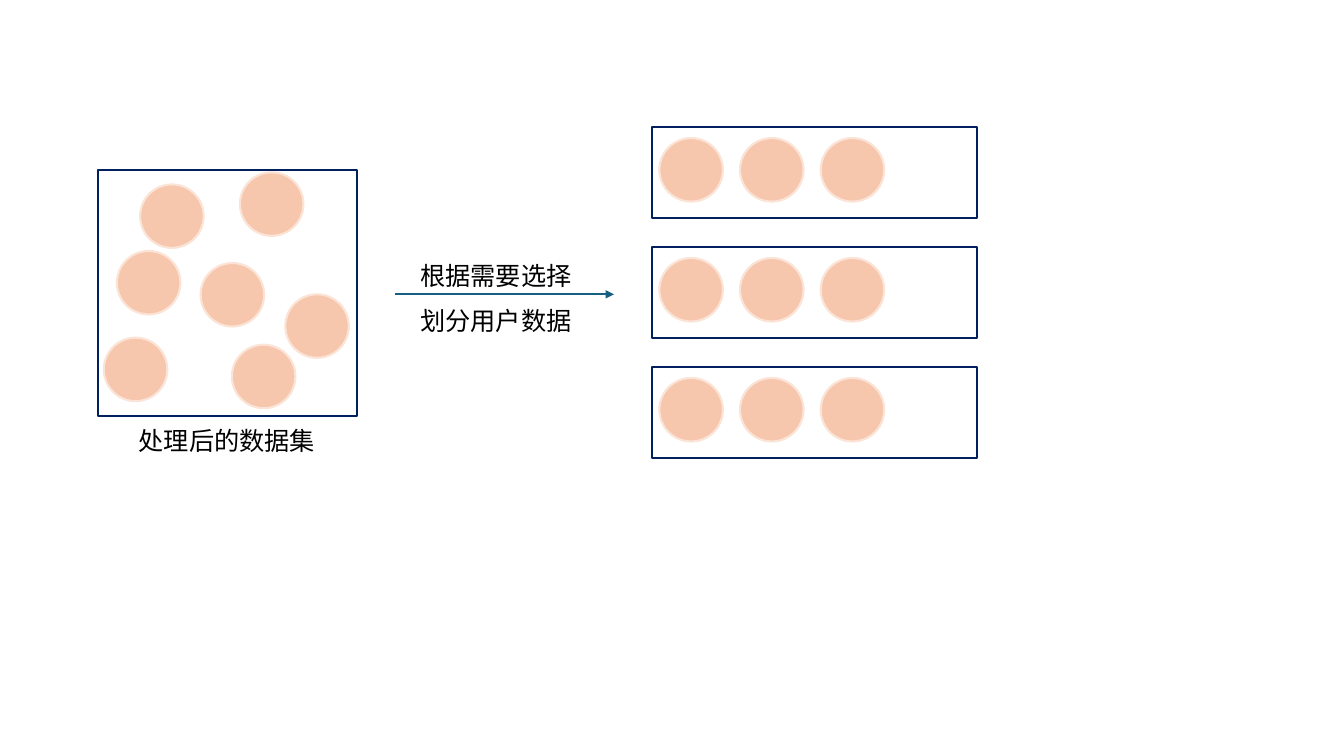
from lxml import etree
from pptx import Presentation
from pptx import util as u
from pptx.dml.color import RGBColor
from pptx.enum import shapes, text
from pptx.oxml import ns

NAVY = RGBColor(0x00, 0x20, 0x60)
PEACH = RGBColor(0xF6, 0xC6, 0xAD)
PALE_PEACH = RGBColor(0xFB, 0xE3, 0xD6)
TEAL = RGBColor(0x15, 0x60, 0x82)
BLACK = RGBColor(0, 0, 0)

DATASET_POINTS = [(2.38, 1.71), (1.03, 3.35), (1.16, 2.49), (2.83, 2.92),
                  (1.39, 1.83), (2.3, 3.42), (1.99, 2.61)]


class DiagramSlide:
    """Draws styled diagram elements on one slide."""

    font_name = "Noto Sans CJK SC"
    font_size = u.Pt(18)
    line_width = u.Pt(1.5)
    point_size = 0.63

    def __init__(self, slide):
        self.slide = slide

    def outline(self, element, color):
        element.line.color.rgb = color
        element.line.width = self.line_width

    def shape(self, kind, bounds, line_color):
        shape = self.slide.shapes.add_shape(kind, *map(u.Inches, bounds))
        shape.shadow.inherit = False
        self.outline(shape, line_color)
        return shape

    def frame(self, *bounds):
        shape = self.shape(shapes.MSO_SHAPE.RECTANGLE, bounds, NAVY)
        shape.fill.background()

    def point(self, left, top):
        bounds = (left, top, self.point_size, self.point_size)
        shape = self.shape(shapes.MSO_SHAPE.FLOWCHART_CONNECTOR, bounds, PALE_PEACH)
        shape.fill.solid()
        shape.fill.fore_color.rgb = PEACH

    def arrow(self, *ends):
        connector = self.slide.shapes.add_connector(
            shapes.MSO_CONNECTOR.STRAIGHT, *map(u.Inches, ends))
        self.outline(connector, TEAL)
        line = connector.line._get_or_add_ln()
        etree.SubElement(line, ns.qn("a:tailEnd"), type="triangle")
        etree.SubElement(connector._element.spPr, ns.qn("a:effectLst"))

    def label(self, wording, bounds, **paragraph_format):
        box = self.slide.shapes.add_textbox(*map(u.Inches, bounds))
        frame = box.text_frame
        frame.word_wrap = True
        frame.auto_size = text.MSO_AUTO_SIZE.SHAPE_TO_FIT_TEXT
        paragraph = frame.paragraphs[0]
        for name, value in paragraph_format.items():
            setattr(paragraph, name, value)
        run = paragraph.add_run()
        run.text = wording
        run.font.color.rgb = BLACK
        for name, value in {"name": self.font_name, "size": self.font_size}.items():
            setattr(run.font, name, value)
        latin = run._r.rPr.find(ns.qn("a:latin"))
        east_asian = etree.Element(ns.qn("a:ea"), typeface=self.font_name)
        latin.addnext(east_asian)


def main():
    presentation = Presentation()
    presentation.slide_width = u.Inches(13.33)
    presentation.slide_height = u.Inches(7.5)
    diagram = DiagramSlide(presentation.slides.add_slide(presentation.slide_layouts[6]))

    diagram.frame(0.97, 1.69, 2.57, 2.44)
    for left, top in DATASET_POINTS:
        diagram.point(left, top)
    diagram.arrow(3.92, 2.92, 6.09, 2.92)
    diagram.label("处理后的数据集", (1.11, 4.17, 2.28, 0.4),
                  alignment=text.PP_ALIGN.CENTER)

    for row in range(3):
        top = 1.26 + 1.19 * row
        diagram.frame(6.47, top, 3.22, 0.9)
        for column in range(3):
            diagram.point(6.54 + 0.8 * column, top + 0.11)
    diagram.label("根据需要选择划分用户数据", (4.07, 2.38, 1.86, 0.96),
                  line_spacing=1.5)

    presentation.save("out.pptx")


if __name__ == "__main__":
    main()
